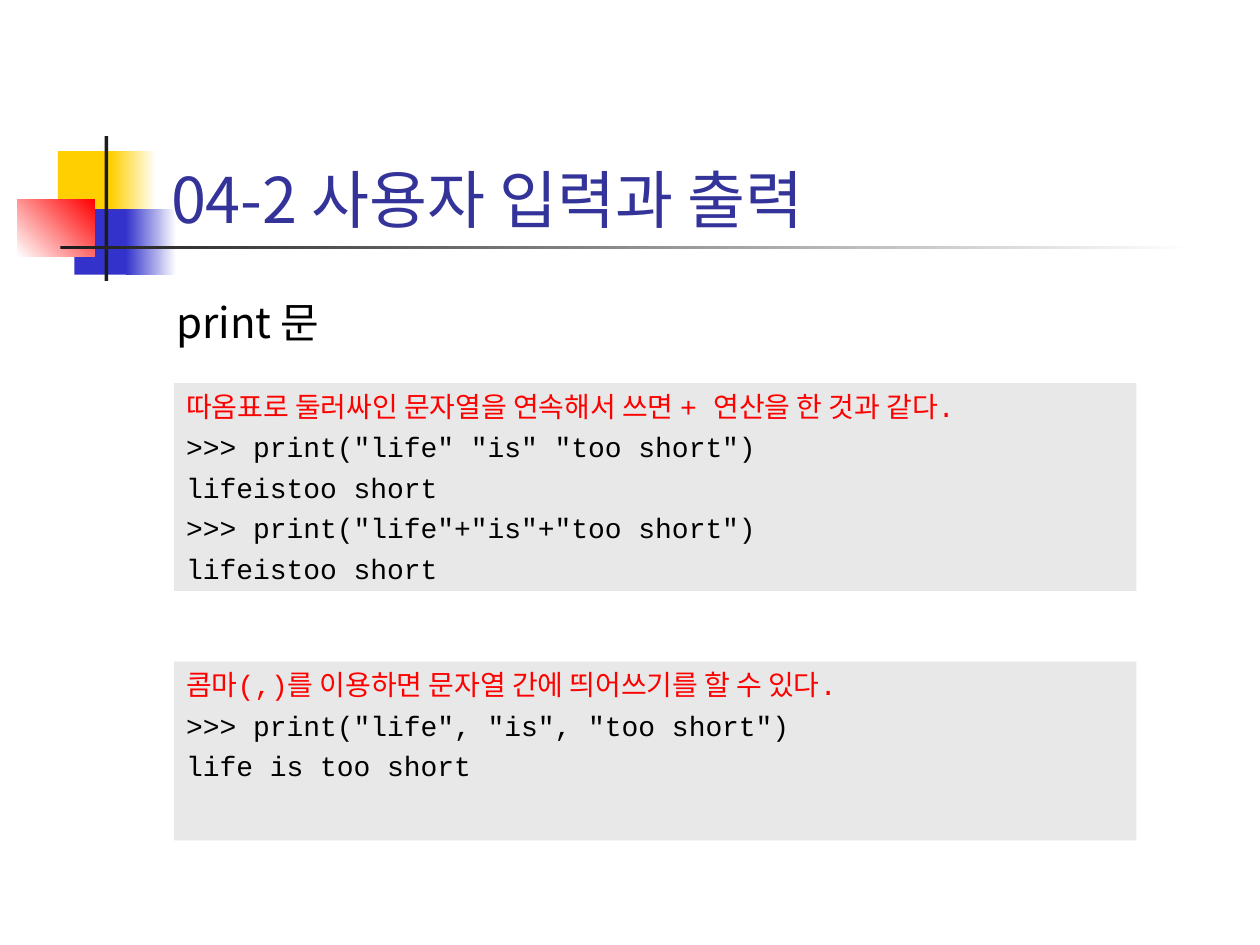
from lxml import etree
from pptx import Presentation
from pptx import util as u
from pptx.dml.color import RGBColor
from pptx.enum import shapes, text
from pptx.oxml.ns import qn

SANS, MONO = "Noto Sans CJK KR", "Courier New"
GOLD, BLUE, RED = "FFCF01", "3333CC", "FF0000"
INK, WHITE, GRAY, BLACK = "1C1C1C", "FFFFFF", "E8E8E8", "000000"

# Corner ornament: box, colours (two make a gradient), angle
DECOR = [
    ((0.46, 1.2, 0.48, 0.52), [GOLD], 0),
    ((0.88, 1.2, 0.36, 0.52), [GOLD, WHITE], 0),
    ((0.59, 1.66, 0.46, 0.52), [BLUE], 0),
    ((1, 1.66, 0.4, 0.52), [BLUE, WHITE], 0),
    ((0.14, 1.58, 0.61, 0.46), [WHITE, RED], 45),
    ((0.83, 1.08, 0.03, 1.15), [INK], 0),
    ((0.48, 1.95, 9, 0.03), [INK, WHITE], 0),
]

# Headings: box, words, anchor, space before, font
HEADS = [
    ((1.26, 0.67, 7.76, 1.25), "04-2 사용자 입력과 출력", text.MSO_ANCHOR.BOTTOM, 0,
     {"size": u.Pt(36), "name": SANS, "color": "333399"}),
    ((1.3, 2.3, 7.72, 0.51), "print 문", text.MSO_ANCHOR.TOP, 6,
     {"size": u.Pt(24), "name": SANS, "color": BLACK}),
]

# Code panels: top, height, lines (the first is the red remark)
PANELS = [
    (3.04, 1.65, [
        "따옴표로 둘러싸인 문자열을 연속해서 쓰면 + 연산을 한 것과 같다.",
        '>>> print("life" "is" "too short")',
        "lifeistoo short",
        '>>> print("life"+"is"+"too short")',
        "lifeistoo short",
    ]),
    (5.25, 1.42, [
        "콤마(,)를 이용하면 문자열 간에 띄어쓰기를 할 수 있다.",
        '>>> print("life", "is", "too short")',
        "life is too short",
    ]),
]
LEFT, WIDTH = 1.38, 7.64


def rgb(code):
    return RGBColor.from_string(code)


def add_rect(slide, box, tones, angle=0):
    rect = slide.shapes.add_shape(shapes.MSO_SHAPE.RECTANGLE, *map(u.Inches, box))
    rect.shadow.inherit = False
    rect.line.fill.background()
    if len(tones) == 1:
        rect.fill.solid()
        rect.fill.fore_color.rgb = rgb(tones[0])
    else:
        rect.fill.gradient()
        rect.fill.gradient_angle = angle
        for i, (stop, tone) in enumerate(zip(rect.fill.gradient_stops, tones)):
            stop.color.rgb = rgb(tone)
            stop.position = i
    return rect


def set_font(run, style):
    for key, val in style.items():
        if key == "color":
            run.font.color.rgb = rgb(val)
        else:
            setattr(run.font, key, val)
    # Hangul font
    asian = etree.SubElement(run.font._element, qn("a:ea"))
    asian.set("typeface", SANS)


def write(shape, lines, anchor, gap):
    """Fill a shape with (words, font) lines."""
    frame = shape.text_frame
    frame.word_wrap = True
    frame.vertical_anchor = anchor
    for i, (words, style) in enumerate(lines):
        para = frame.add_paragraph() if i else frame.paragraphs[0]
        para.alignment = text.PP_ALIGN.LEFT
        para.space_before = u.Pt(gap)
        run = para.add_run()
        run.text = words
        set_font(run, style)


def main():
    deck = Presentation()
    deck.slide_width, deck.slide_height = u.Inches(10), u.Inches(7.5)
    slide = deck.slides.add_slide(deck.slide_layouts[6])

    # Ornament
    for box, tones, angle in DECOR:
        add_rect(slide, box, tones, angle)

    # Headings
    for box, words, anchor, gap, style in HEADS:
        area = slide.shapes.add_textbox(*map(u.Inches, box))
        write(area, [(words, style)], anchor, gap)

    # Code panels
    for top, height, lines in PANELS:
        panel = add_rect(slide, (LEFT, top, WIDTH, height), [GRAY])
        rows = [(line, {"size": u.Pt(16), "name": MONO, "color": BLACK if i else RED})
                for i, line in enumerate(lines)]
        write(panel, rows, text.MSO_ANCHOR.TOP, 4)

    deck.save("out.pptx")


if __name__ == "__main__":
    main()
